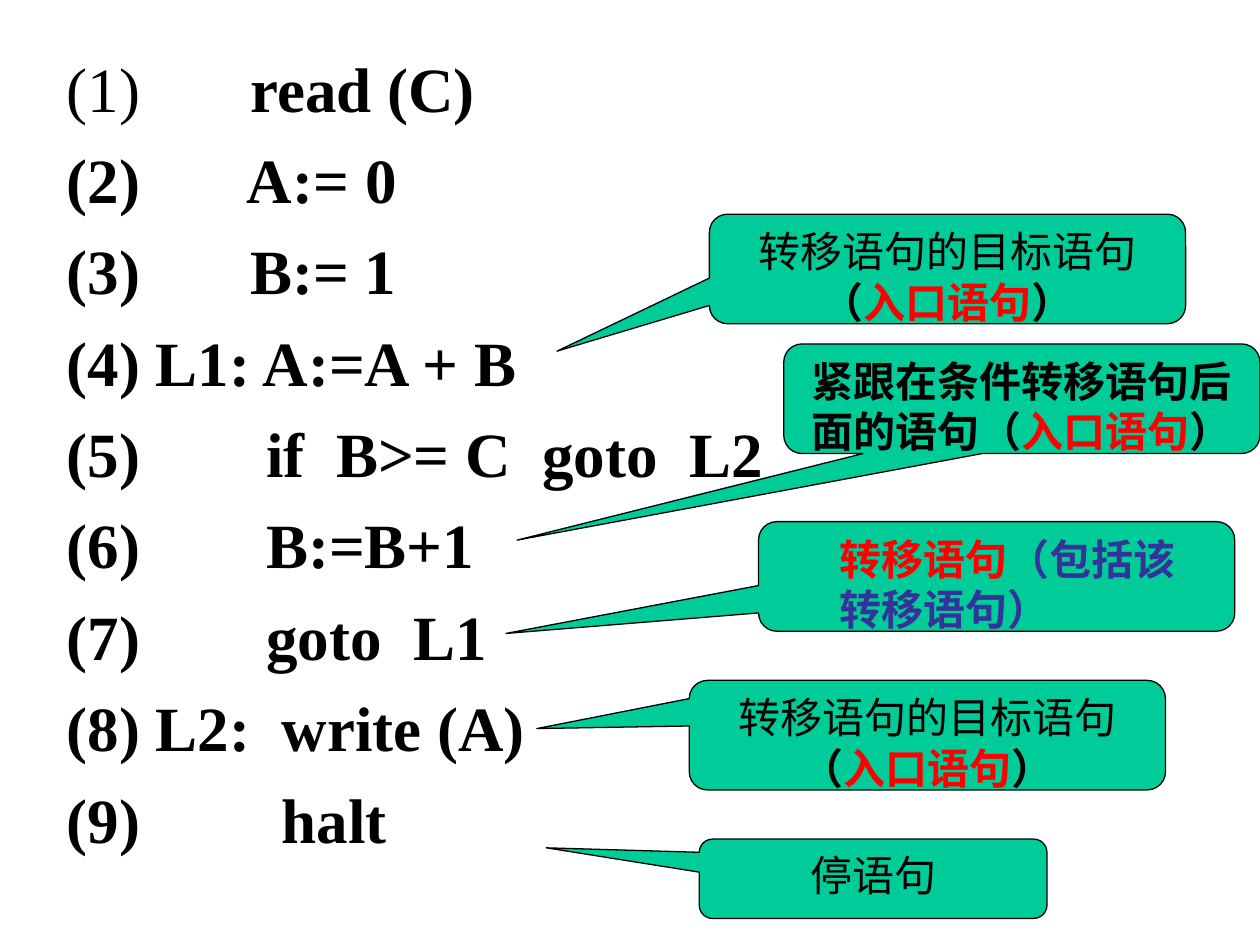
from dataclasses import dataclass
from lxml.etree import SubElement
from pptx import Presentation
from pptx.dml.color import RGBColor as Color
from pptx.enum.shapes import MSO_SHAPE as Preset
from pptx.enum.text import MSO_ANCHOR as Anchor, PP_ALIGN as Align
from pptx.oxml.ns import qn
from pptx.util import Inches, Pt


@dataclass(frozen=True)
class Theme:
    ink: str = "000000"
    accent: str = "FF0000"
    note: str = "333399"
    callout: str = "00CC99"
    latin: str = "Times New Roman"
    sans: str = "Arial"
    east_asian: str = "Noto Sans CJK JP"
    code_size: int = 36
    callout_size: int = 24
    code_gap: int = 9
    outline: float = 0.75
    corner: float = 0.167


THEME = Theme()
CELL = 0.1
COLUMNS, ROWS = 100, 75

CODE_LINES = [
    [("(1)       ", False), ("read (C)", True)],
    [("(2)       A:= 0", True)],
    [("(3)       B:= 1", True)],
    [("(4) L1: A:=A + B", True)],
    [("(5)        if  B>= C  goto  L2", True)],
    [("(6)        B:=B+1", True)],
    [("(7)        goto  L1", True)],
    [("(8) L2:  write (A)", True)],
    [("(9)         halt", True)],
]

PLAIN = {"font": THEME.latin, "color": THEME.ink, "bold": False}
STRONG = {**PLAIN, "bold": True}
ENTRY = {"font": THEME.east_asian, "color": THEME.accent, "bold": True}
REMARK = {"font": THEME.sans, "color": THEME.note, "bold": True}

ENTRY_NAME = [("入口语句", ENTRY), ("）", STRONG)]
JUMP_TARGET = [("转移语句的目标语句", PLAIN), ("（", STRONG), *ENTRY_NAME]
AFTER_CONDITION = [("紧跟在条件转移语句后面的语句（", STRONG), *ENTRY_NAME]
JUMP = [("转移语句", ENTRY), ("（包括该转移语句）", REMARK)]
HALT = [("停语句", PLAIN)]

CALLOUTS = [
    ((56.3, 17, 37.8, 8.7), (-0.82, 0.75), JUMP_TARGET, False),
    ((62.2, 27.3, 37.8, 8.7), (-1.06, 1.29), AFTER_CONDITION, False),
    ((54.7, 54, 37.8, 8.7), (-0.82, -0.06), JUMP_TARGET, False),
    ((55.5, 66.6, 27.6, 6.3), (-0.94, -0.39), HALT, False),
    ((60.2, 41.4, 37.8, 8.7), (-1.03, 0.52), JUMP, True),
]


def grid(count):
    return Inches(count * CELL)


def set_values(target, values):
    for name, value in values.items():
        setattr(target, name, value)


def add_span(para, text, size, style):
    span = para.add_run()
    span.text = text
    set_values(span.font, {"name": style["font"], "size": Pt(size), "bold": style["bold"]})
    span.font.color.rgb = Color.from_string(style["color"])
    SubElement(span.font._element, qn("a:ea"), typeface=THEME.east_asian)


def set_indent(para, margin, first):
    properties = para._p.get_or_add_pPr()
    properties.set("marL", str(Inches(margin)))
    properties.set("indent", str(Inches(first)))
    return properties


def place_code(body, box):
    set_values(body, dict(zip(("left", "top", "width", "height"), map(grid, box))))
    frame = body.text_frame
    set_values(frame, {"word_wrap": True, "vertical_anchor": Anchor.TOP, "margin_top": grid(1.1)})
    for index, parts in enumerate(CODE_LINES):
        para = frame.paragraphs[0] if index == 0 else frame.add_paragraph()
        SubElement(set_indent(para, 0.38, -0.38), qn("a:buNone"))
        set_values(para, {
            "line_spacing": 1.0,
            "space_before": Pt(THEME.code_gap if index else 0),
            "space_after": Pt(0),
            "alignment": Align.LEFT,
        })
        for text, bold in parts:
            add_span(para, text, THEME.code_size, {**PLAIN, "bold": bold})


def place_callout(page, box, tip, parts, indented):
    shape = page.shapes.add_shape(Preset.ROUNDED_RECTANGULAR_CALLOUT, *map(grid, box))
    for index, value in enumerate((*tip, THEME.corner)):
        shape.adjustments[index] = value
    shape.shadow.inherit = False
    shape.fill.solid()
    shape.fill.fore_color.rgb = Color.from_string(THEME.callout)
    shape.line.color.rgb = Color.from_string(THEME.ink)
    shape.line.width = Pt(THEME.outline)
    set_values(shape.text_frame, {"word_wrap": True, "vertical_anchor": Anchor.TOP})
    para = shape.text_frame.paragraphs[0]
    para.alignment = Align.LEFT if indented else Align.CENTER
    if indented:
        para.level = 1
        set_indent(para, 0.5, 0)
    for text, style in parts:
        add_span(para, text, THEME.callout_size, style)


def main():
    deck = Presentation()
    set_values(deck, {"slide_width": grid(COLUMNS), "slide_height": grid(ROWS)})
    page = deck.slides.add_slide(deck.slide_layouts[1])
    title = page.shapes.title
    title._element.getparent().remove(title._element)
    place_code(page.placeholders[1], (4.3, 2.8, 91.4, 68.5))
    for callout in CALLOUTS:
        place_callout(page, *callout)
    deck.save("out.pptx")


if __name__ == "__main__":
    main()
